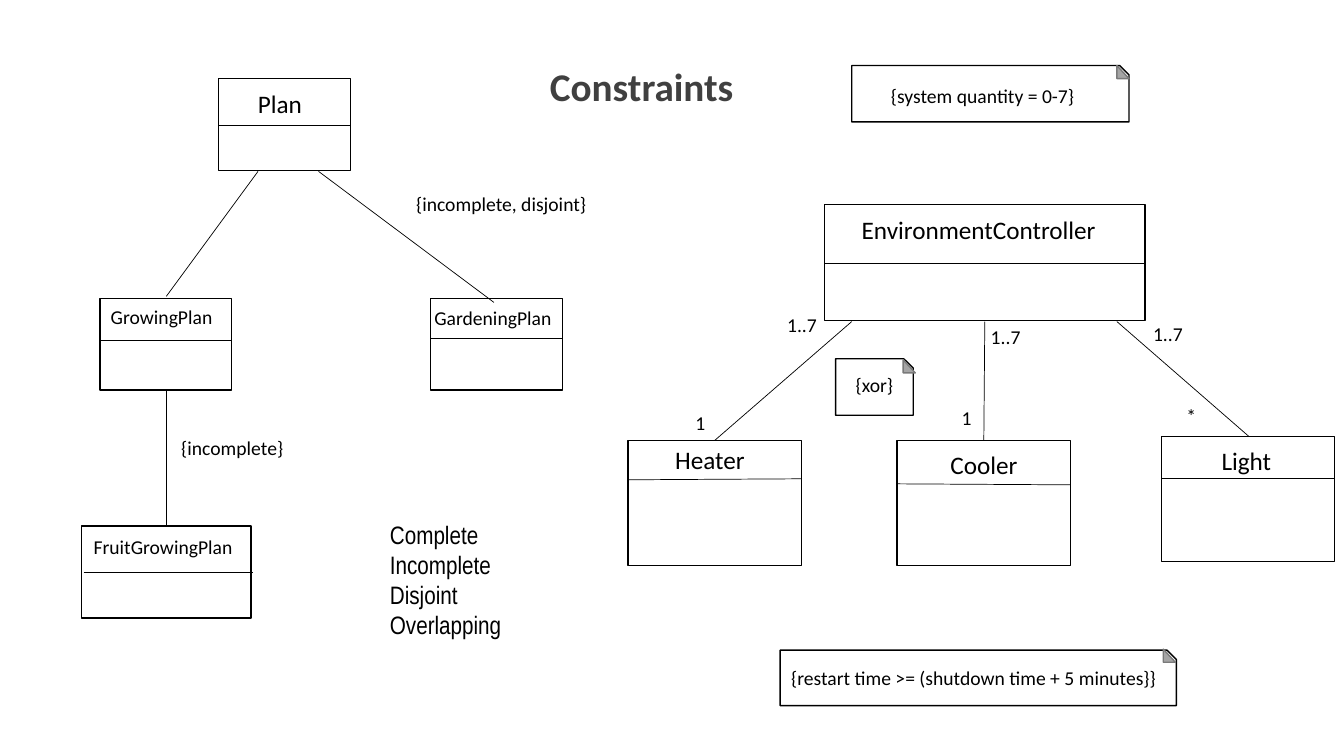
from dataclasses import dataclass
from pptx import Presentation
from pptx import util as u
from pptx.dml.color import RGBColor
from pptx.enum import shapes, text
from pptx.oxml.ns import qn
from lxml import etree

COLUMNS, ROWS = 133.33, 75
CELL = u.Inches(0.1)


@dataclass(frozen=True)
class Theme:
    ink: str = "000000"
    paper: str = "FFFFFF"
    title: str = "404040"
    fold: str = "A5A5A5"
    fold_edge: str = "7A7A7A"
    font: str = "Calibri"
    list_font: str = "Arial Narrow"
    small: int = 14
    large: int = 18
    heading: int = 28
    outline: float = 1
    hairline: float = 0.5


THEME = Theme()


def cells(*counts):
    return [int(count * CELL) for count in counts]


def color(code):
    return RGBColor.from_string(code)


def add_text(page, left, top, width, *lines, size=THEME.small, **formats):
    height = len(lines) * size / 6 + 1
    box = page.shapes.add_textbox(*cells(left, top, width, height))
    box.text_frame.word_wrap = True
    for index, line in enumerate(lines):
        frame = box.text_frame
        para = frame.add_paragraph() if index else frame.paragraphs[0]
        para.alignment = formats.get("align", text.PP_ALIGN.LEFT)
        span = para.add_run()
        span.text = line
        values = {"name": formats.get("font", THEME.font),
                  "size": u.Pt(size), "bold": formats.get("bold", False)}
        for name, value in values.items():
            setattr(span.font, name, value)
        span.font.color.rgb = color(formats.get("ink", THEME.ink))


def add_outline(page, kind, box, fill=THEME.paper, edge=THEME.ink):
    shape = page.shapes.add_shape(kind, *cells(*box))
    shape.shadow.inherit = False
    shape.fill.solid()
    shape.fill.fore_color.rgb = color(fill)
    shape.line.color.rgb = color(edge)
    shape.line.width = u.Pt(THEME.outline)


def add_line(page, *ends):
    line = page.shapes.add_connector(shapes.MSO_CONNECTOR.STRAIGHT, *cells(*ends))
    line.line.color.rgb = color(THEME.ink)
    line.line.width = u.Pt(THEME.hairline)
    etree.SubElement(line._element.spPr, qn("a:effectLst"))


def class_box(page, box, name, size, name_at, divider, shift=0):
    """Divider holds its left and right depth; shift moves it sideways."""
    left, top, width, height = box
    add_outline(page, shapes.MSO_SHAPE.RECTANGLE, box)
    start, end = divider
    add_line(page, left + shift, top + start, left + width + shift, top + end)
    across, down = name_at
    add_text(page, left + across, top + down, width + 1.5 - across, name, size=size)


def note(page, box, words, text_at, fold_shift=(0, 0)):
    left, top, width, height = box
    fold_width, fold_height = 1.2, 1.3
    add_outline(page, shapes.MSO_SHAPE.SNIP_1_RECTANGLE, box)
    fold = (left + width - fold_width + fold_shift[0], top + fold_shift[1],
            fold_width, fold_height)
    add_outline(page, shapes.MSO_SHAPE.RIGHT_TRIANGLE, fold, THEME.fold, THEME.fold_edge)
    across, down, text_width = text_at
    add_text(page, left + across, top + down, text_width, words)


def diagram(page, origin, classes, links, labels):
    """Draws classes, links and labels, all placed from the origin."""
    x, y = origin
    for (left, top, width, height), *details in classes:
        class_box(page, (x + left, y + top, width, height), *details)
    for x1, y1, x2, y2 in links:
        add_line(page, x + x1, y + y1, x + x2, y + y2)
    for left, top, width, words in labels:
        add_text(page, x + left, y + top, width, words)


def plan_tree(page, origin):
    width, height = 13.1, 9.1
    small, large = THEME.small, THEME.large
    classes = [
        ((13.7, 0.8, width, height), "Plan", large, (2.9, 0.5), (4.6, 4.6)),
        ((0.1, 45.2, 16.8, height), "FruitGrowingPlan", small, (0.2, 0.4), (4.6, 4.6), 0.2),
        ((1.9, 22.6, width, height), "GrowingPlan", small, (0.1, 0.2), (4.2, 4.2)),
        ((34.7, 22.6, width, height), "GardeningPlan", small, (-0.6, 0.3), (4, 4)),
    ]
    links = [(8.5, 45.2, 8.5, 31.7), (8.5, 22.4, 17.6, 10), (41, 23, 23.6, 10)]
    labels = [(32.3, 11.5, 20.5, "{incomplete, disjoint}"), (9, 35.8, 12.6, "{incomplete}")]
    diagram(page, origin, classes, links, labels)


def controller_tree(page, origin):
    width, height = 17.2, 12.4
    large = THEME.large
    classes = [
        ((19.8, 0.3, 31.8, 11.5), "EnvironmentController", large, (2.7, 0.5), (5.8, 5.8)),
        ((0.3, 23.7, width, height), "Heater", large, (3.7, -0.1), (3.9, 3.8)),
        ((27, 23.7, width, height), "Cooler", large, (4.3, 0.4), (4.3, 4.4)),
        ((53.2, 23.3, width, height), "Light", large, (5, 0.4), (4.2, 4.2)),
    ]
    links = [(48.8, 11.9, 61.9, 23.3), (22.5, 11.9, 8.9, 23.7), (35.7, 11.9, 35.6, 23.7)]
    labels = [(32.4, 19.8, 2.5, "1"), (6, 20.3, 2.5, "1"), (54.7, 19.6, 2.5, "*")]
    labels += [(left, top, 5.1, "1..7")
               for left, top in [(15.1, 10.6), (35.3, 11.7), (51.4, 11.4)]]
    diagram(page, origin, classes, links, labels)


def main():
    deck = Presentation()
    deck.slide_width, deck.slide_height = cells(COLUMNS, ROWS)
    page = deck.slides.add_slide(deck.slide_layouts[6])
    controller_tree(page, (62, 20))
    note(page, (84.5, 6.5, 27.5, 5.6), "{system quantity = 0-7}", (2.9, 1.3, 23.4))
    note(page, (77.4, 64.5, 39.3, 5.5), "{restart time >= (shutdown time + 5 minutes}}",
         (0.1, 1.1, 39.7), (-0.1, -0.1))
    note(page, (82.9, 35.6, 7.7, 5.6), "{xor}", (1, 0.9, 6.3), (0.2, 0.1))
    add_text(page, 48.7, 5.7, 29.9, "Constraints", size=THEME.heading, bold=True,
             ink=THEME.title, align=text.PP_ALIGN.CENTER)
    plan_tree(page, (8, 7))
    add_text(page, 37.7, 51, 18.6, "Complete", "Incomplete", "Disjoint", "Overlapping",
             size=THEME.large, font=THEME.list_font)
    deck.save("out.pptx")


if __name__ == "__main__":
    main()
